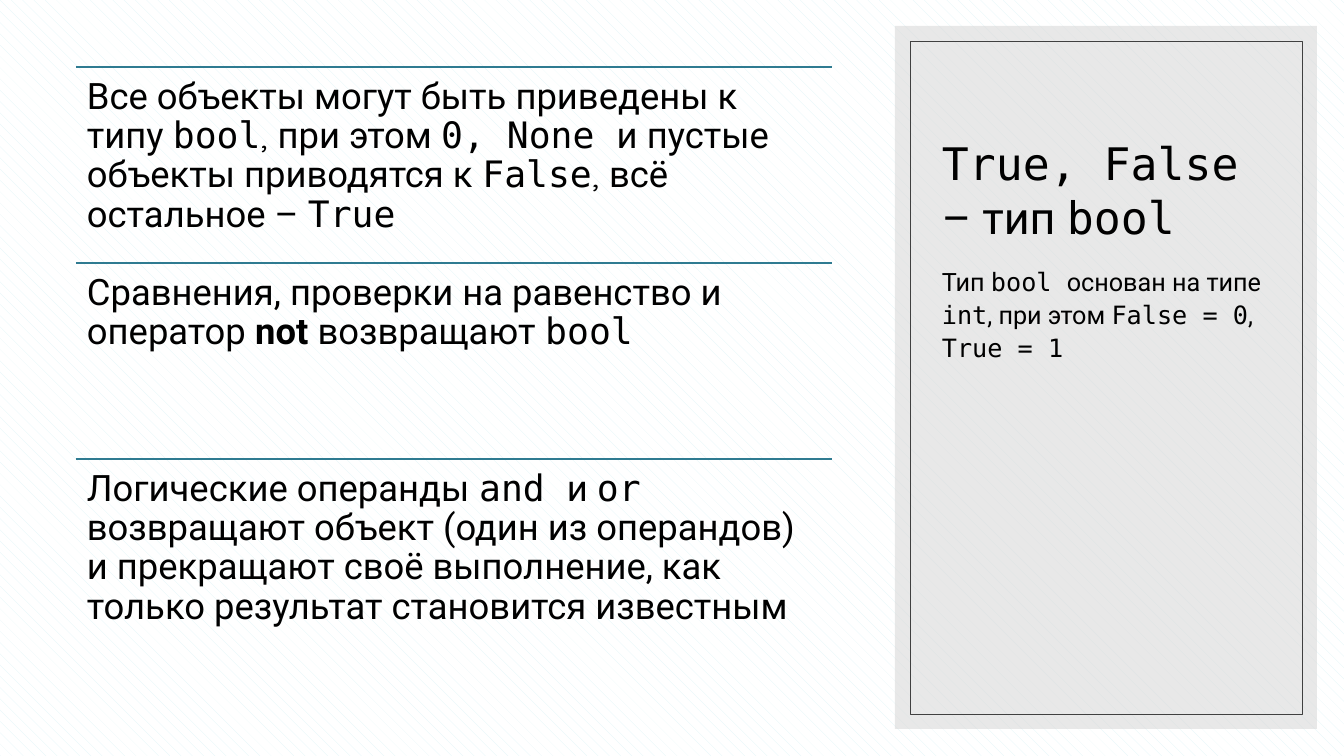
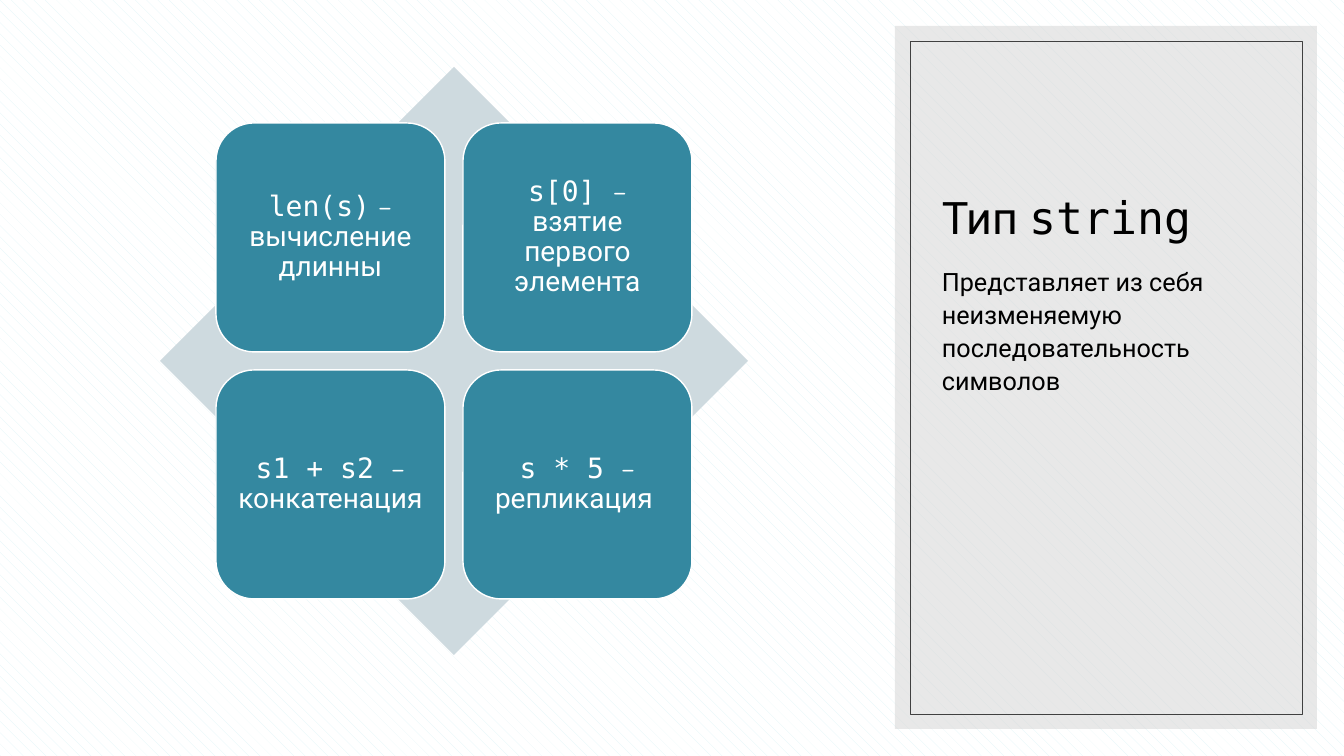
from lxml.etree import SubElement
from pptx import Presentation
from pptx.dml.color import RGBColor
from pptx.enum.dml import MSO_PATTERN_TYPE as Pattern
from pptx.enum.shapes import MSO_CONNECTOR as Link, MSO_SHAPE as Shape
from pptx.enum.text import MSO_ANCHOR as Anchor, PP_ALIGN as Align
from pptx.oxml.ns import qn
from pptx.util import Emu, Pt

# Palette and fonts
BLACK = RGBColor(0x00, 0x00, 0x00)
WHITE = RGBColor(0xFF, 0xFF, 0xFF)
MINT = RGBColor(0xDE, 0xF4, 0xF7)
GREY = RGBColor(0xD9, 0xD9, 0xD9)
DARK = RGBColor(0x40, 0x40, 0x40)
RULE = RGBColor(0x2F, 0x7B, 0x91)
TEAL = RGBColor(0x34, 0x88, 0xA0)
PALE = RGBColor(0xCE, 0xDA, 0xDF)
SANS, MONO, THIN = "Roboto", "DejaVu Sans Mono", "Quicksand"

PIXEL = 12192000 / 1344


def px(*sizes):
    return [Emu(round(size * PIXEL)) for size in sizes]


def write(shape, runs, size, color=BLACK, space=1.0, inset=None):
    """Fill a shape with one paragraph of (text, font[, bold]) runs."""
    frame = shape.text_frame
    frame.word_wrap = True
    if inset is not None:
        frame.margin_left = frame.margin_right = px(inset)[0]
        frame.margin_top = frame.margin_bottom = px(inset)[0]
    para = frame.paragraphs[0]
    para.line_spacing = space
    para.font.size = Pt(size)
    para.font.color.rgb = color
    for text, font, *bold in runs:
        run = para.add_run()
        run.text = text
        run.font.name = font
        if bold:
            run.font.bold = True
    return frame


deck = Presentation()
deck.slide_width, deck.slide_height = px(1344, 756)

# Side panel wording: title and body of each slide
panels = [
    ([("True, False ", MONO), ("– тип ", SANS), ("bool", MONO)],
     [("Тип ", SANS), ("bool ", MONO), ("основан на типе ", SANS),
      ("int", MONO), (", при этом ", SANS), ("False = 0", MONO),
      (", ", SANS), ("True = 1", MONO)]),
    ([("Тип ", SANS), ("string", MONO)],
     [("Представляет из себя неизменяемую последовательность символов",
       SANS)]),
]

# Shared background and side panel
slides = []
for title, body in panels:
    slide = deck.slides.add_slide(deck.slide_layouts[6])
    slides.append(slide)
    back = slide.background.fill
    back.patterned()
    back.pattern = Pattern.SHINGLE
    back.fore_color.rgb = MINT
    back.back_color.rgb = WHITE

    panel = slide.shapes.add_shape(Shape.RECTANGLE, *px(895, 26, 422, 703))
    panel.shadow.inherit = False
    panel.fill.solid()
    panel.fill.fore_color.rgb = GREY
    panel.line.fill.background()
    tint = panel.element.spPr.find(".//" + qn("a:srgbClr"))
    SubElement(tint, qn("a:alpha")).set("val", "60000")

    border = slide.shapes.add_shape(Shape.RECTANGLE, *px(910, 41, 392, 673))
    border.shadow.inherit = False
    border.fill.background()
    border.line.color.rgb = DARK
    border.line.width = Pt(0.5)

    head = slide.shapes.add_textbox(*px(932, 67, 349, 181))
    write(head, title, 32).vertical_anchor = Anchor.BOTTOM
    note = slide.shapes.add_textbox(*px(932, 258, 349, 397))
    write(note, body, 18, space=1.1).paragraphs[0].space_before = Pt(8)

# Slide 1: three ruled statements
facts = [
    [("Все объекты могут быть приведены к типу ", SANS), ("bool", MONO),
     (", ", THIN), ("при этом ", SANS), ("0, None ", MONO),
     ("и пустые объекты приводятся к ", SANS), ("False", MONO),
     (", ", THIN), ("всё остальное – ", SANS), ("True", MONO)],
    [("Сравнения, проверки на равенство и оператор ", SANS),
     ("not", SANS, True), (" возвращают ", SANS), ("bool", MONO)],
    [("Логические операнды ", SANS), ("and ", MONO), ("и ", SANS),
     ("or ", MONO),
     ("возвращают объект (один из операндов) и прекращают своё "
      "выполнение, как только результат становится известным", SANS)],
]
shapes = slides[0].shapes
STEP = 196
for row, fact in enumerate(facts):
    top = 67 + row * STEP
    rule = shapes.add_connector(Link.STRAIGHT, *px(76, top, 832, top))
    rule.line.color.rgb = RULE
    rule.line.width = Pt(1)
    SubElement(rule.element.spPr, qn("a:effectLst"))
    box = shapes.add_textbox(*px(76, top, 756, STEP))
    write(box, fact, 26, space=0.9, inset=11)

# Slide 2: four operations over a diamond
shapes = slides[1].shapes
gem = shapes.add_shape(Shape.DIAMOND, *px(160, 67, 588, 588))
gem.shadow.inherit = False
gem.fill.solid()
gem.fill.fore_color.rgb = PALE
gem.line.fill.background()

tiles = [
    [("len(s)", MONO), (" – ", THIN), ("вычисление длинны", SANS)],
    [("s[0] ", MONO), ("– ", THIN), ("взятие первого элемента", SANS)],
    [("s1 + s2 ", MONO), ("– ", THIN), ("конкатенация", SANS)],
    [("s * 5 ", MONO), ("– ", THIN), ("репликация ", SANS)],
]
SIDE, PITCH = 229, 247
for spot, runs in enumerate(tiles):
    row, col = divmod(spot, 2)
    tile = shapes.add_shape(
        Shape.ROUNDED_RECTANGLE,
        *px(216 + col * PITCH, 123 + row * PITCH, SIDE, SIDE))
    tile.shadow.inherit = False
    tile.fill.solid()
    tile.fill.fore_color.rgb = TEAL
    tile.line.color.rgb = WHITE
    tile.line.width = Pt(1)
    frame = write(tile, runs, 20, WHITE, 0.9, 8)
    frame.vertical_anchor = Anchor.MIDDLE
    frame.paragraphs[0].alignment = Align.CENTER

deck.save("out.pptx")
